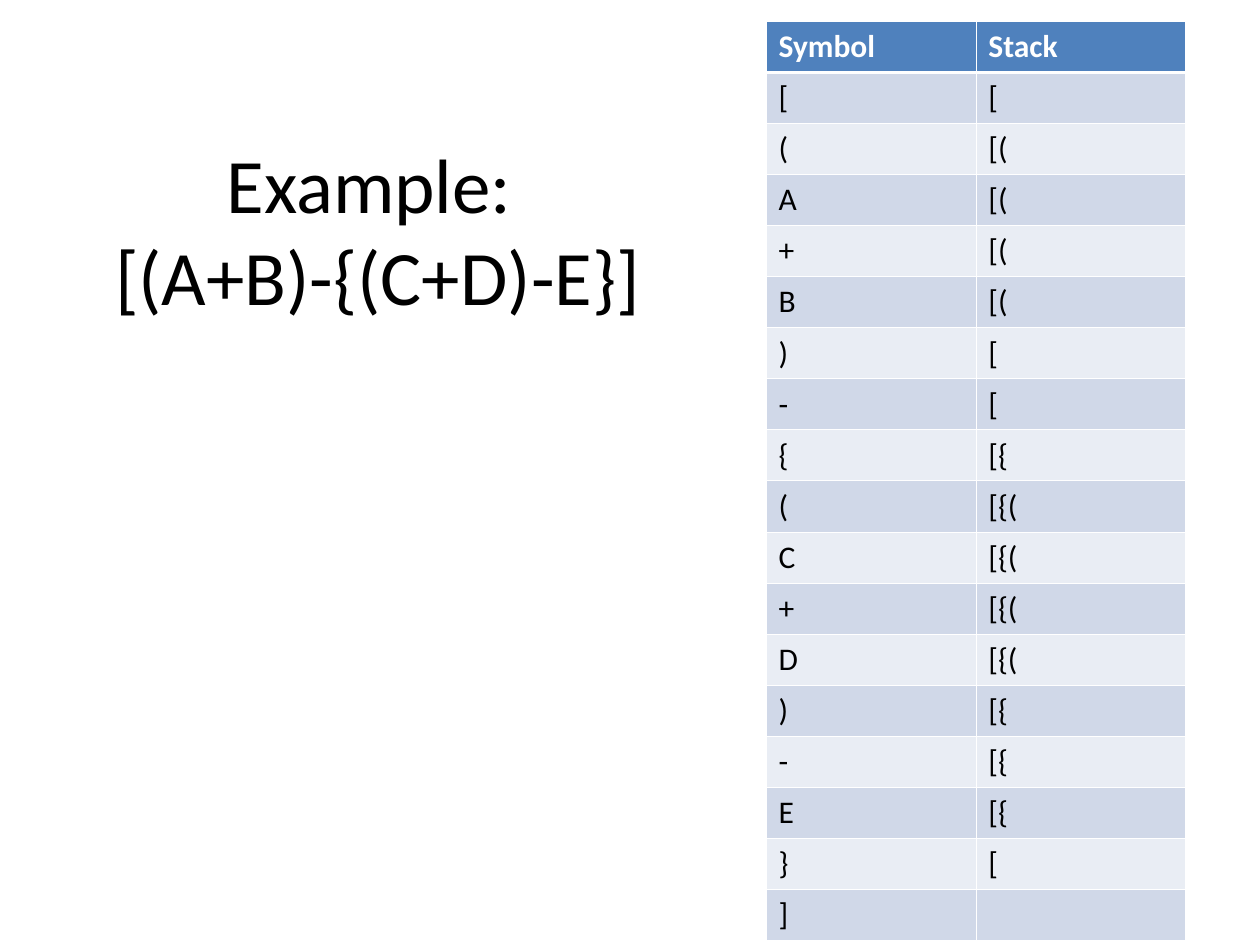
from lxml import etree
from pptx import Presentation
from pptx import util as u
from pptx.dml.color import RGBColor
from pptx.enum import text
from pptx.oxml.ns import qn

COLORS = {
    "header": "4F81BD", "odd": "D0D8E8", "even": "E9EDF4",
    "ink": "000000", "white": "FFFFFF",
}
FONT = "Calibri"
EXPRESSION = "[(A+B)-{(C+D)-E}]"
WIDTH, HEIGHT = u.Inches(10), u.Inches(7.5)
THIN, THICK = 0.45, 1.47
HANGING = u.Inches(0.38)


def share(left, top, width, height):
    """Turn shares of the slide's size into a box of lengths."""
    return (round(left * WIDTH), round(top * HEIGHT),
            round(width * WIDTH), round(height * HEIGHT))


def rgb(name):
    return RGBColor.from_string(COLORS[name])


def style(paragraph, size, color, bold=False):
    font = paragraph.font
    font.name, font.size, font.bold = FONT, u.Pt(size), bold
    font.color.rgb = rgb(color)


def stack_trace(expression):
    """Return each symbol with the open brackets left after reading it."""
    steps, stack = [], ""
    for symbol in expression:
        if symbol in "[({":
            stack += symbol
        elif symbol in "])}":
            stack = stack[:-1]
        steps.append((symbol, stack))
    return steps


def add_borders(cell, top, bottom):
    properties = cell._tc.get_or_add_tcPr()
    for side, points in (("L", THIN), ("R", THIN), ("T", top), ("B", bottom)):
        line = etree.SubElement(properties, qn(f"a:ln{side}"), w=str(u.Pt(points)))
        fill = etree.SubElement(line, qn("a:solidFill"))
        etree.SubElement(fill, qn("a:srgbClr"), val=COLORS["white"])


def add_title(slide, box):
    frame = slide.shapes.add_textbox(*box).text_frame
    frame.word_wrap = True
    frame.vertical_anchor = text.MSO_ANCHOR.MIDDLE
    title = frame.paragraphs[0]
    title.text = f"Example: \v{EXPRESSION}"
    title.alignment = text.PP_ALIGN.CENTER
    style(title, 44, "ink")


def add_stack_table(slide, box):
    rows = [("Symbol", "Stack")] + stack_trace(EXPRESSION)
    table = slide.shapes.add_table(len(rows), 2, *box).table
    for row, values in enumerate(rows):
        band = "header" if row == 0 else "odd" if row % 2 else "even"
        for column, value in enumerate(values):
            cell = table.cell(row, column)
            add_borders(cell, THICK if row == 1 else THIN, THICK if row == 0 else THIN)
            cell.fill.solid()
            cell.fill.fore_color.rgb = rgb(band)
            entry = cell.text_frame.paragraphs[0]
            entry.text = value
            style(entry, 18, "ink" if row else "white", bold=row == 0)
            if row and column == 0:
                indents = entry._p.get_or_add_pPr()
                indents.set("marL", str(HANGING))
                indents.set("indent", str(-HANGING))


def main():
    deck = Presentation()
    deck.slide_width, deck.slide_height = WIDTH, HEIGHT
    slide = deck.slides.add_slide(deck.slide_layouts[6])
    add_title(slide, share(0.05, 0.04, 0.5, 0.404))
    add_stack_table(slide, share(0.608, 0.0227, 0.333, 0.973))
    deck.save("out.pptx")


if __name__ == "__main__":
    main()
